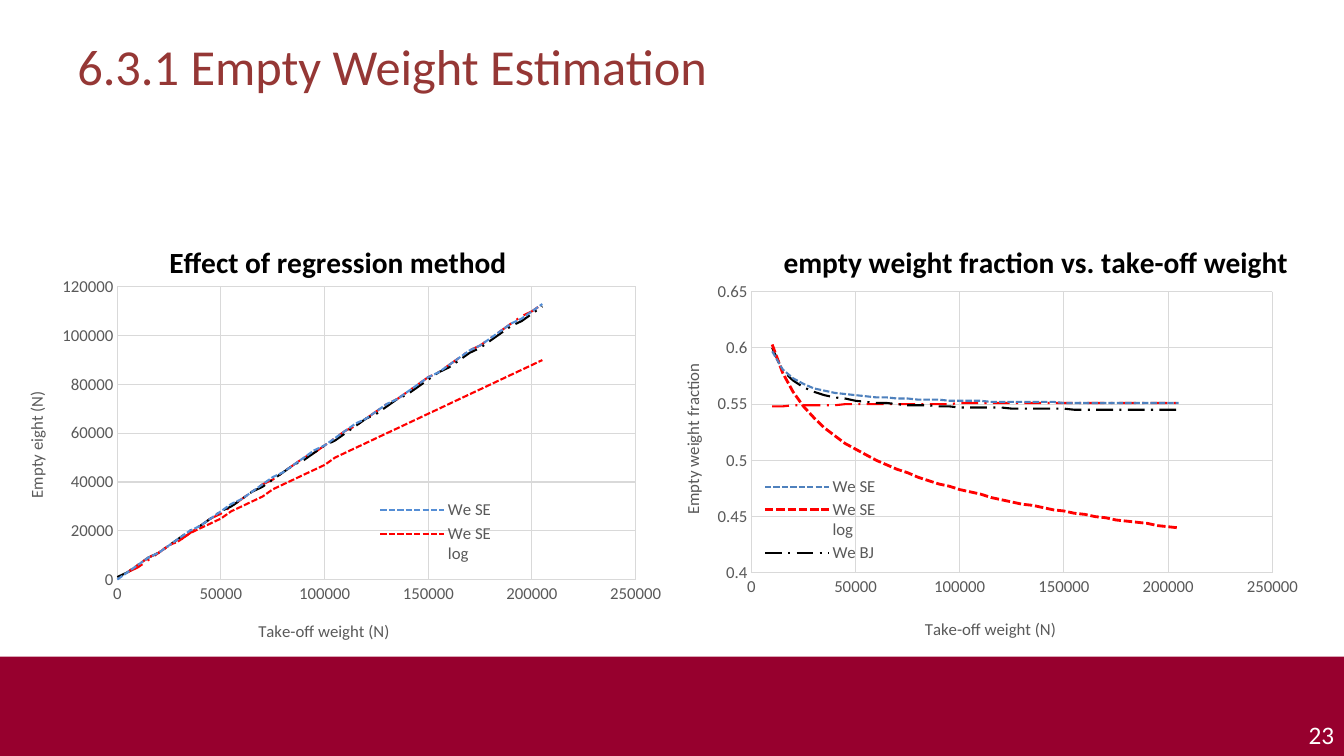
from functools import partial

from lxml.etree import SubElement
from pptx import Presentation
from pptx.chart.data import XyChartData
from pptx.dml.color import RGBColor
from pptx.enum.chart import XL_CHART_TYPE as ChartType, XL_LEGEND_POSITION as LegendPosition
from pptx.enum.chart import XL_TICK_MARK as TickMark
from pptx.enum.dml import MSO_LINE as Dash
from pptx.enum.shapes import MSO_SHAPE as Preset
from pptx.enum.text import MSO_ANCHOR as Anchor, PP_ALIGN as Align
from pptx.oxml import parse_xml
from pptx.oxml.ns import nsdecls, qn
from pptx.util import Pt

FONT = "Calibri"
CRIMSON, GREY, GRID = "97002E", "595959", "D9D9D9"
RED, BLACK = "FF0000", "000000"
TAKE_OFF_WEIGHTS = range(0, 205001, 5000)

# Empty weight: linear fits (slope, offset) and power-law fits (factor, exponent)
REGRESSIONS = {
    "We SE": lambda w: 0.5482 * w + 488,
    "We SE log": lambda w: 1.5763 * w ** 0.89567,
    "We BJ": lambda w: 0.54168 * w + 581,
    "We BJ log": lambda w: 0.53738 * w ** 1.0021,
}


def rgb(value):
    return RGBColor.from_string(value)


def style(font, size, color, bold=False):
    font.name, font.size, font.bold = FONT, Pt(size), bold
    font.color.rgb = rgb(color)


def place(parent, index, x, y, w=None, h=None, inner=False):
    """Give a chart part a manual layout, in fractions of the chart."""
    for old in parent.findall(qn("c:layout")):
        parent.remove(old)
    layout = parse_xml(f"<c:layout {nsdecls('c')}><c:manualLayout/></c:layout>")
    add = partial(SubElement, layout[0])
    if inner:
        add(qn("c:layoutTarget")).set("val", "inner")
    for mode in ("xMode", "yMode"):
        add(qn(f"c:{mode}")).set("val", "edge")
    for key, value in zip("xywh", (x, y, w, h)):
        if value is not None:
            add(qn(f"c:{key}")).set("val", str(value))
    parent.insert(index, layout)


def set_title(title, text, spot, size, color, bold=False):
    title.text_frame.text = text
    style(title.text_frame.paragraphs[0].font, size, color, bold)
    place(title._element, 1, *spot)


def set_axis(axis, text, spot, low, high, step):
    axis.minimum_scale, axis.maximum_scale, axis.major_unit = low, high, step
    axis.major_tick_mark = axis.minor_tick_mark = TickMark.NONE
    axis.format.line.fill.background()
    axis.has_major_gridlines = True
    grid = axis.major_gridlines.format.line
    grid.color.rgb, grid.width = rgb(GRID), Pt(0.75)
    style(axis.tick_labels.font, 12, GREY)
    axis.tick_labels.number_format = "General"
    axis.tick_labels.number_format_is_linked = False
    set_title(axis.axis_title, text, spot, 12, GREY)


def set_legend(chart, spot, entries):
    """Show only the first entries of the legend."""
    chart.has_legend = True
    legend = chart.legend
    legend.position = LegendPosition.BOTTOM
    legend.include_in_layout = False
    style(legend.font, 12, GREY)
    index = 1
    for hidden in range(entries, len(REGRESSIONS)):
        legend._element.insert(index, parse_xml(
            f'<c:legendEntry {nsdecls("c")}><c:idx val="{hidden}"/>'
            '<c:delete val="1"/></c:legendEntry>'))
        index += 1
    place(legend._element, index, *spot)


def add_regression_chart(slide, box, value, lines):
    data = XyChartData()
    for name, empty_weight in REGRESSIONS.items():
        points = data.add_series(name)
        for weight in TAKE_OFF_WEIGHTS:
            points.add_data_point(weight, value(name, weight, empty_weight))
    chart = slide.shapes.add_chart(
        ChartType.XY_SCATTER_SMOOTH_NO_MARKERS, *map(Pt, box), data).chart
    style(chart.font, 10, BLACK)
    chart.plots[0].vary_by_categories = False
    for series, (color, width, dash) in zip(chart.plots[0].series, lines):
        series.smooth = True
        line = series.format.line
        line.color.rgb, line.width, line.dash_style = rgb(color), Pt(width), dash
    return chart


def rounded_weight(name, weight, empty_weight):
    if weight == 0 and name.endswith("log"):
        return None
    return round(empty_weight(weight), -3)


def weight_fraction(name, weight, empty_weight):
    return round(empty_weight(weight) / weight, 3) if weight >= 10000 else None


def regression_lines(first_color, log_width):
    return [(first_color, 1.5, Dash.SQUARE_DOT), (RED, log_width, Dash.SQUARE_DOT),
            (BLACK, 1.5, Dash.LONG_DASH_DOT), (RED, 1.5, Dash.LONG_DASH_DOT)]


def add_weight_chart(slide):
    chart = add_regression_chart(slide, (4.3, 162, 476, 300), rounded_weight,
                                 regression_lines("558ED5", 1.5))
    set_title(chart.chart_title, "Effect of regression method",
              (0.237, 0.024), 21, BLACK, True)
    set_axis(chart.category_axis, "Take-off weight (N)", (0.374, 0.933), 0, 250000, 50000)
    set_axis(chart.value_axis, "Empty eight (N)", (0.024, 0.388), 0, 120000, 20000)
    set_legend(chart, (0.555, 0.645, 0.18, 0.17), 2)
    place(chart.element.chart.plotArea, 0, 0.167, 0.144, 0.778, 0.7, inner=True)


def add_fraction_chart(slide):
    chart = add_regression_chart(slide, (480, 162, 493, 299), weight_fraction,
                                 regression_lines("4F81BD", 2))
    set_title(chart.chart_title, "empty weight fraction vs. take-off weight",
              (0.154, 0.024), 21, BLACK, True)
    set_axis(chart.category_axis, "Take-off weight (N)", (0.362, 0.926), 0, 250000, 50000)
    set_axis(chart.value_axis, "Empty weight fraction", (0.009, 0.32), 0.4, 0.65, 0.05)
    set_legend(chart, (0.13, 0.59, 0.17, 0.22), 3)
    place(chart.element.chart.plotArea, 0, 0.115, 0.155, 0.755, 0.672, inner=True)


def add_footer(slide, number):
    band = slide.shapes.add_shape(Preset.RECTANGLE, 0, Pt(469), Pt(960), Pt(71))
    band.shadow.inherit = False
    band.fill.solid()
    band.fill.fore_color.rgb = rgb(CRIMSON)
    band.line.fill.background()
    frame = slide.shapes.add_textbox(Pt(909), Pt(510.5), Pt(51), Pt(29)).text_frame
    frame.word_wrap = True
    frame.text = number
    frame.paragraphs[0].alignment = Align.RIGHT
    style(frame.paragraphs[0].font, 18, "FFFFFF")


def set_heading(slide, text):
    heading = slide.shapes.title
    heading.left, heading.top, heading.width, heading.height = map(Pt, (48, 21.6, 893, 90))
    frame = heading.text_frame
    frame.text = text
    frame.vertical_anchor = Anchor.TOP
    frame.paragraphs[0].alignment = Align.LEFT
    style(frame.paragraphs[0].font, 36, "953735")


def main():
    deck = Presentation()
    deck.slide_width, deck.slide_height = Pt(960), Pt(540)
    slide = deck.slides.add_slide(deck.slide_layouts[5])
    add_footer(slide, "23")
    set_heading(slide, "6.3.1 Empty Weight Estimation")
    add_weight_chart(slide)
    add_fraction_chart(slide)
    deck.save("out.pptx")


if __name__ == "__main__":
    main()
